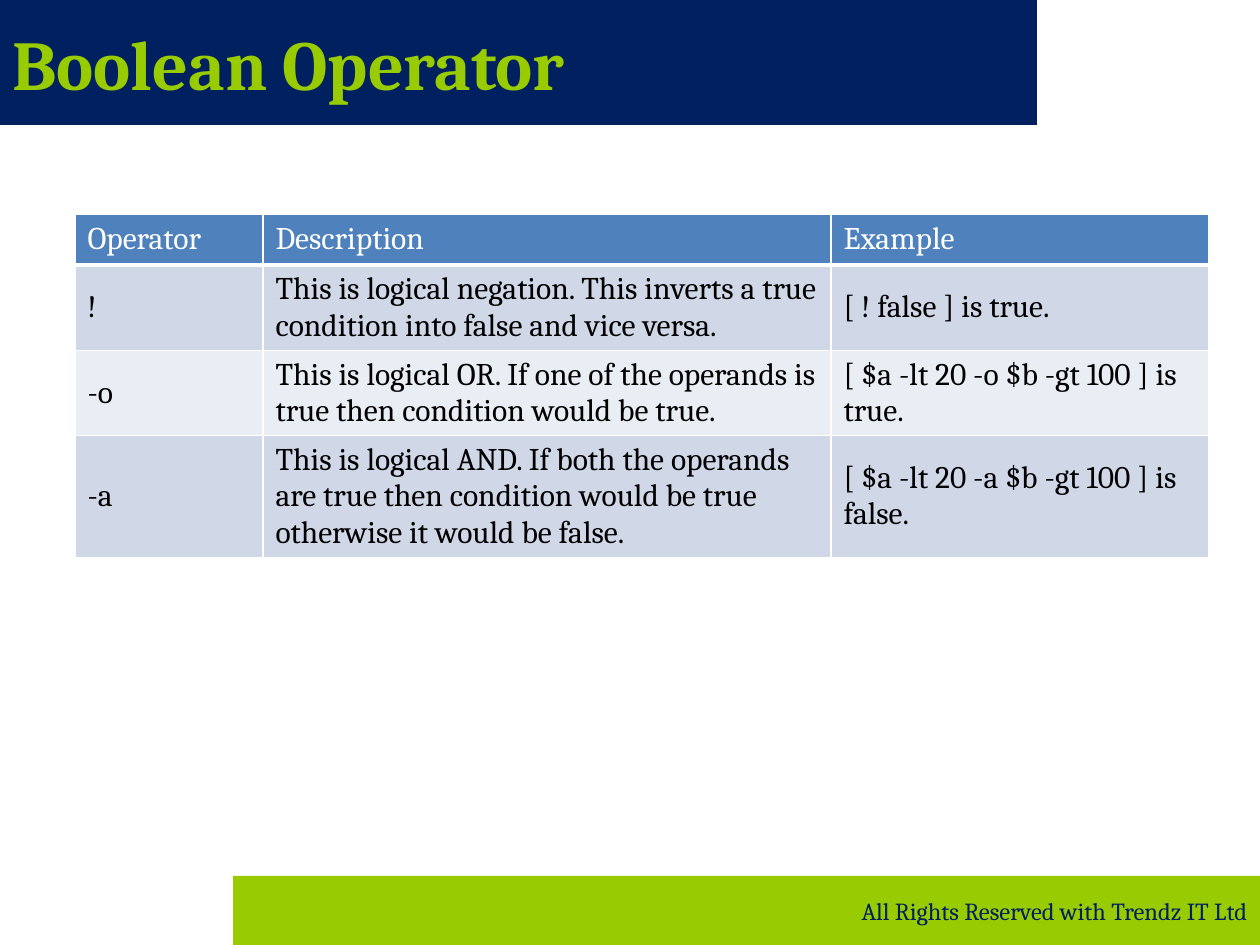
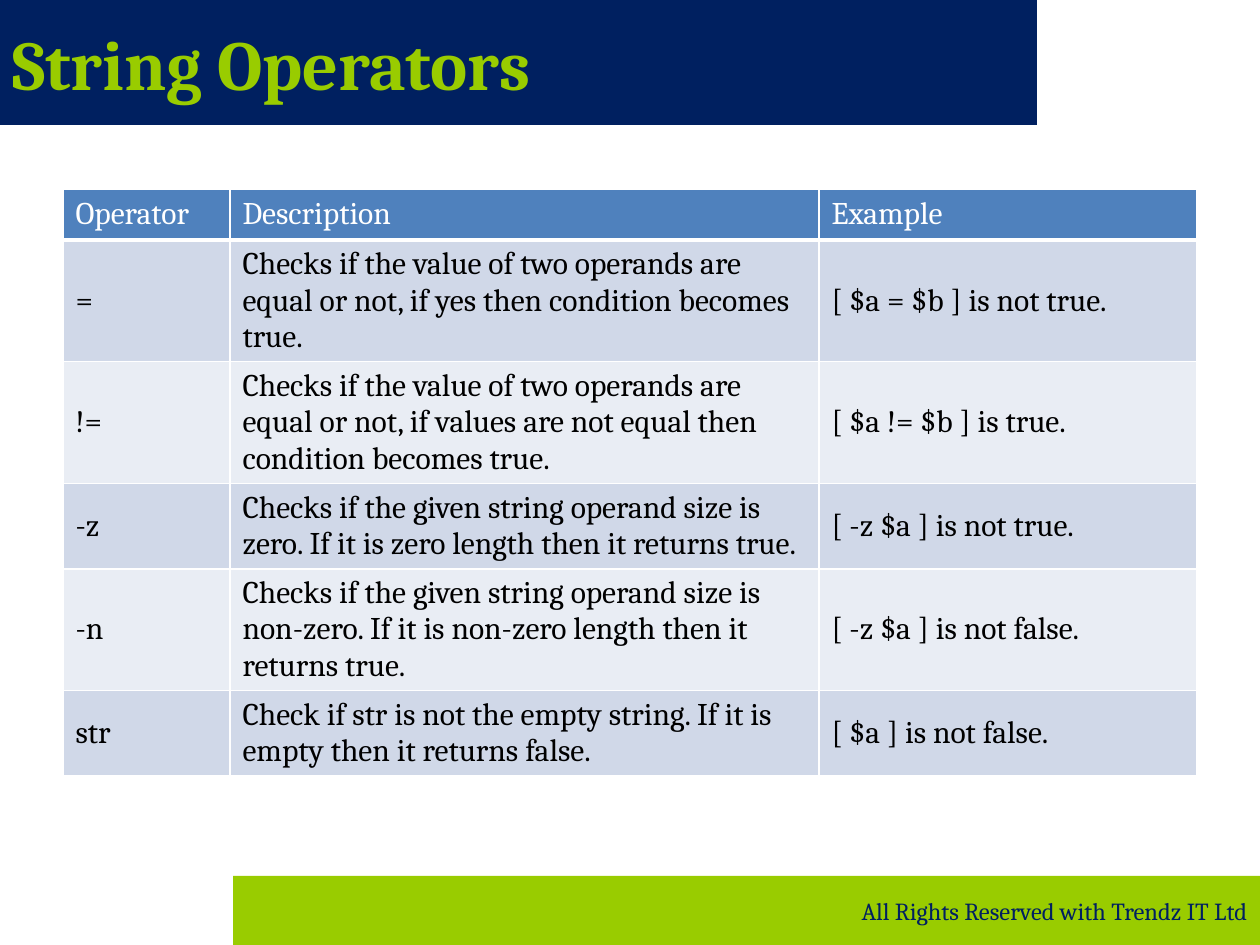
import pptx
import pptx.dml.color
import pptx.enum.shapes
import pptx.enum.text
import pptx.oxml
import pptx.oxml.ns
import pptx.util

RGBColor = pptx.dml.color.RGBColor
NAVY = RGBColor(0x00, 0x20, 0x60)
LIME = RGBColor(0x99, 0xCC, 0x00)
HEADER_BLUE = RGBColor(0x4F, 0x81, 0xBD)
BAND_DARK = RGBColor(0xD0, 0xD8, 0xE8)
BAND_LIGHT = RGBColor(0xE9, 0xED, 0xF4)
WHITE = RGBColor(0xFF, 0xFF, 0xFF)
BLACK = RGBColor(0x00, 0x00, 0x00)

FONT = "Cambria"
EMU_PER_PX = 914400 / 126
SLIDE_WIDTH, SLIDE_HEIGHT = 1260, 945
HEADINGS = ("Operator", "Description", "Example")
FOOTER = "All Rights Reserved with Trendz IT Ltd"

# Row heights: one header height, then padding plus a height per line of text
HEADER_HEIGHT, ROW_PADDING, LINE_HEIGHT = 51, 13, 36

# Each row: operator, description, example, lines of text in the description
SLIDES = [
    {
        "title": "Boolean Operator",
        "left": 75, "top": 214, "columns": (188, 568, 378),
        "rows": [
            ("!", "This is logical negation. This inverts a true condition into false and vice versa.",
             "[ ! false ] is true.", 2),
            ("-o", "This is logical OR. If one of the operands is true then condition would be true.",
             "[ $a -lt 20 -o $b -gt 100 ] is true.", 2),
            ("-a", "This is logical AND. If both the operands are true then condition would be true "
             "otherwise it would be false.",
             "[ $a -lt 20 -a $b -gt 100 ] is false.", 3),
        ],
    },
    {
        "title": "String Operators",
        "left": 63, "top": 189, "columns": (167, 589, 378),
        "rows": [
            ("=", "Checks if the value of two operands are equal or not, if yes then condition becomes true.",
             "[ $a = $b ] is not true.", 3),
            ("!=", "Checks if the value of two operands are equal or not, if values are not equal then "
             "condition becomes true.",
             "[ $a != $b ] is true.", 3),
            ("-z", "Checks if the given string operand size is zero. If it is zero length then it returns true.",
             "[ -z $a ] is not true.", 2),
            ("-n", "Checks if the given string operand size is non-zero. If it is non-zero length then it "
             "returns true.",
             "[ -z $a ] is not false.", 3),
            ("str", "Check if str is not the empty string. If it is empty then it returns false.",
             "[ $a ] is not false.", 2),
        ],
    },
]


def px(length):
    return pptx.util.Emu(round(length * EMU_PER_PX))


def write(text_frame, text, size, color, bold=False, align=pptx.enum.text.PP_ALIGN.LEFT):
    text_frame.text = text
    text_frame.word_wrap = True
    paragraph = text_frame.paragraphs[0]
    paragraph.alignment = align
    font = paragraph.runs[0].font
    font.name = FONT
    font.size = pptx.util.Pt(size)
    font.bold = bold
    font.color.rgb = color


presentation = pptx.Presentation()
presentation.slide_width = px(SLIDE_WIDTH)
presentation.slide_height = px(SLIDE_HEIGHT)
blank_layout = presentation.slide_layouts[6]

for content in SLIDES:
    slide = presentation.slides.add_slide(blank_layout)

    # Title band and footer band
    bands = [
        ((0, 0, 1037, 125), NAVY, content["title"], 40, LIME, True, pptx.enum.text.PP_ALIGN.LEFT),
        ((233, 876, 1027, 69), LIME, FOOTER, 14, NAVY, False, pptx.enum.text.PP_ALIGN.RIGHT),
    ]
    for box, fill_color, text, size, color, bold, align in bands:
        band = slide.shapes.add_shape(
            pptx.enum.shapes.MSO_SHAPE.RECTANGLE, *[px(length) for length in box])
        band.shadow.inherit = False
        band.fill.solid()
        band.fill.fore_color.rgb = fill_color
        band.line.fill.background()
        band.text_frame.vertical_anchor = pptx.enum.text.MSO_ANCHOR.MIDDLE
        write(band.text_frame, text, size, color, bold, align)

    # Operator table
    rows = content["rows"]
    heights = [HEADER_HEIGHT] + [ROW_PADDING + LINE_HEIGHT * row[3] for row in rows]
    table = slide.shapes.add_table(
        len(heights), len(HEADINGS), px(content["left"]), px(content["top"]),
        px(sum(content["columns"])), px(sum(heights))).table
    for column, width in zip(table.columns, content["columns"]):
        column.width = px(width)
    for table_row, height in zip(table.rows, heights):
        table_row.height = px(height)

    for row_index, texts in enumerate([HEADINGS] + [row[:3] for row in rows]):
        is_header = row_index == 0
        if is_header:
            fill_color = HEADER_BLUE
        else:
            fill_color = BAND_DARK if row_index % 2 else BAND_LIGHT
        for column_index, text in enumerate(texts):
            cell = table.cell(row_index, column_index)
            cell.vertical_anchor = pptx.enum.text.MSO_ANCHOR.MIDDLE
            write(cell.text_frame, text, 18, WHITE if is_header else BLACK)

            # White cell borders, thicker under the header
            properties = cell._tc.get_or_add_tcPr()
            for side in "LRTB":
                points = 3 if is_header and side == "B" else 1
                properties.append(pptx.oxml.parse_xml(
                    f'<a:ln{side} {pptx.oxml.ns.nsdecls("a")} w="{pptx.util.Pt(points)}">'
                    f'<a:solidFill><a:srgbClr val="{WHITE}"/></a:solidFill></a:ln{side}>'))
            cell.fill.solid()
            cell.fill.fore_color.rgb = fill_color

presentation.save("out.pptx")
